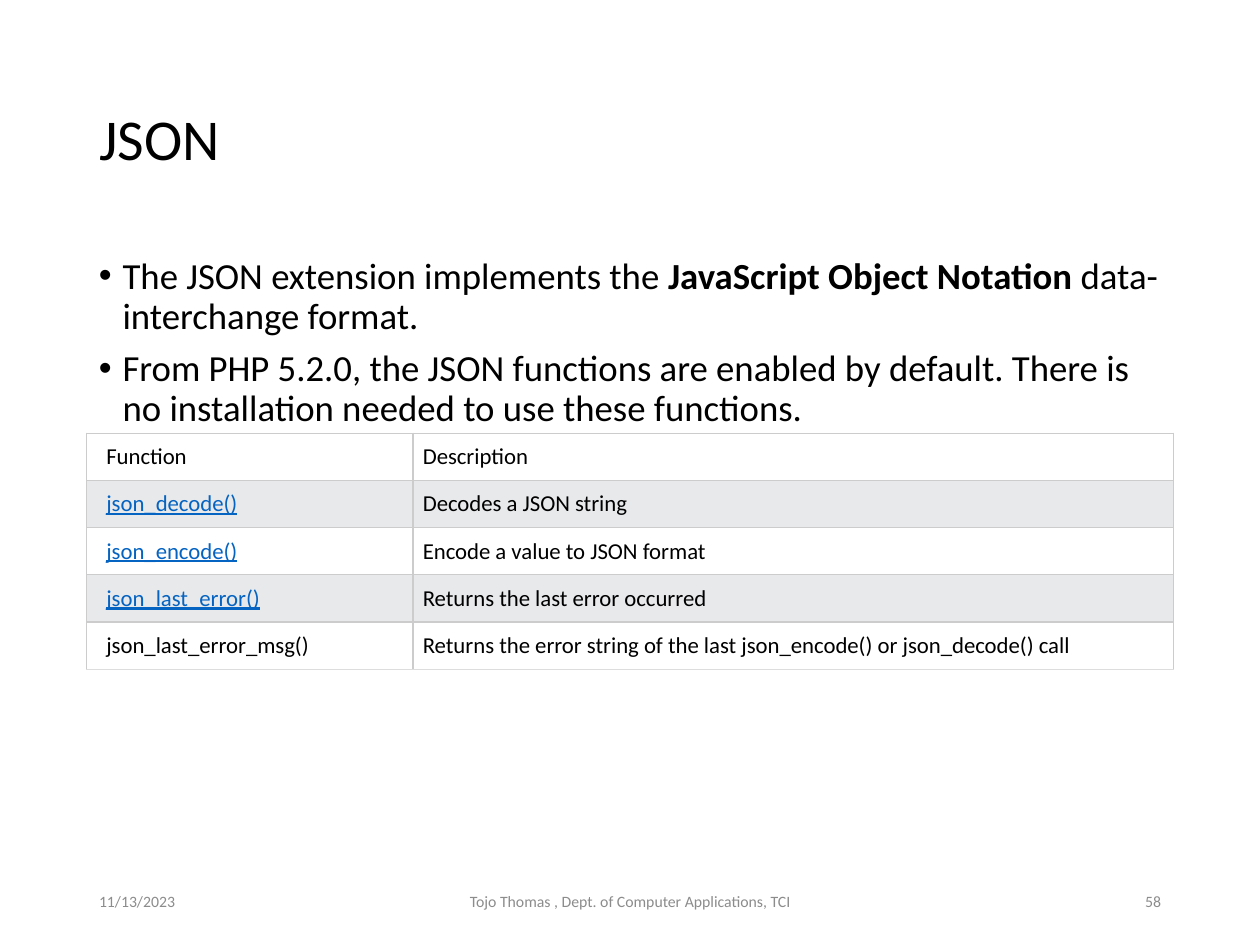
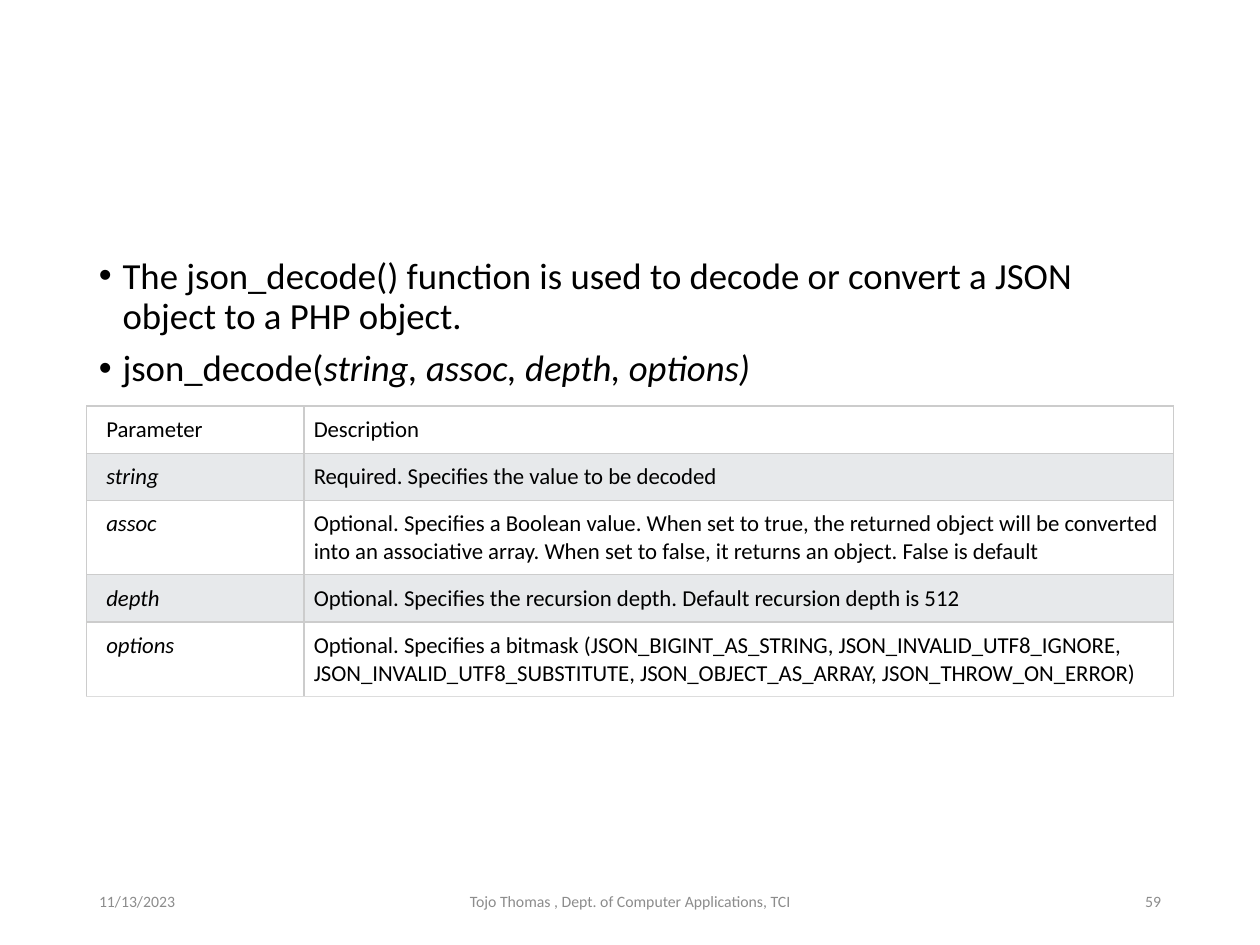
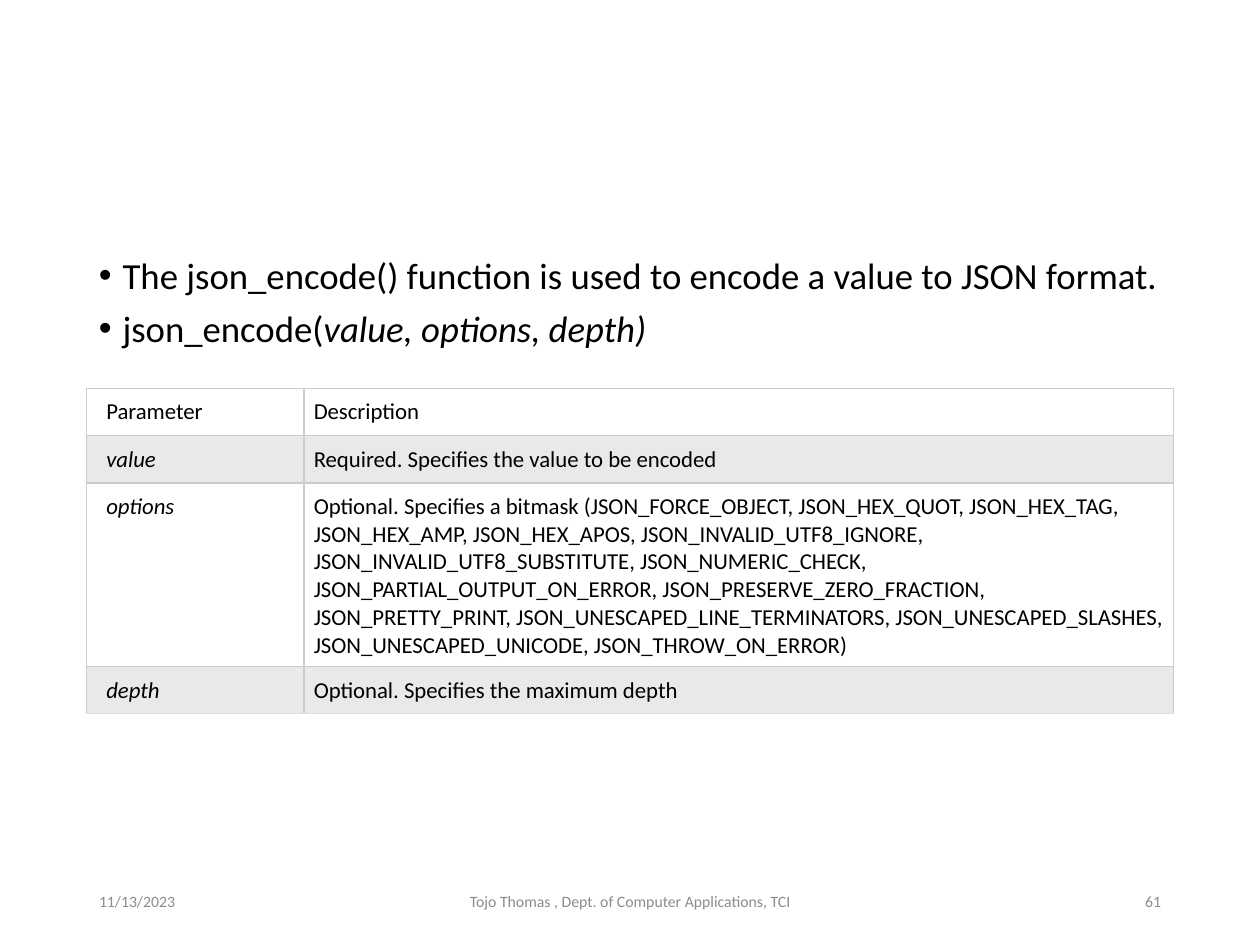
import pptx
import pptx.util
import pptx.dml.color
import pptx.enum.text
import pptx.oxml
import pptx.oxml.ns

Pt = pptx.util.Pt
ALIGN = pptx.enum.text.PP_ALIGN
ANCHOR = pptx.enum.text.MSO_ANCHOR

BLACK, GREY, LINK = "000000", "8C8C8C", "0563C1"
ROW_FILLS = ["FFFFFF", "E7E9EB"]
LEFT, WIDTH = 49.5, 621
FOOTER_TOP, FOOTER_HEIGHT = 500.5, 28.75
CELL_MARGIN = 5.63
BULLET = {"line_spacing": 0.9, "space_before": Pt(7.5)}
FOOTER = "Tojo Thomas , Dept. of Computer Applications, TCI"


def colour(hex_string):
    return pptx.dml.color.RGBColor.from_string(hex_string)


def add_span(para, text, size, hex_string, **styles):
    span = para.add_run()
    span.text = text
    formats = {"name": "Calibri", "size": Pt(size), **styles}
    for name, value in formats.items():
        setattr(span.font, name, value)
    span.font.color.rgb = colour(hex_string)


italic = {"italic": True}
link = {"underline": True}
pages = [
    {
        "title": "JSON",
        "number": "58",
        "bullets": [
            [("The JSON extension implements the ", {}),
             ("JavaScript Object Notation ", {"bold": True}),
             ("data-interchange format.", {})],
            [("From PHP 5.2.0, the JSON functions are enabled by default. "
              "There is no installation needed to use these functions.", {})],
        ],
        "table_top": 247.5,
        "first_column": 186.5,
        "row_heights": [27, 27, 27, 27, 27],
        "rows": [
            ("Function", {}, "Description"),
            ("json_decode()", link, "Decodes a JSON string"),
            ("json_encode()", link, "Encode a value to JSON format"),
            ("json_last_error()", link, "Returns the last error occurred"),
            ("json_last_error_msg()", {},
             "Returns the error string of the last json_encode() or json_decode() call"),
        ],
    },
    {
        "title": None,
        "number": "59",
        "bullets": [
            [("The json_decode() function is used to decode or convert a JSON "
              "object to a PHP object.", {})],
            [("json_decode(", {}), ("string, assoc, depth, options)", italic)],
        ],
        "table_top": 232,
        "first_column": 124.2,
        "row_heights": [27, 27, 42, 27, 42],
        "rows": [
            ("Parameter", {}, "Description"),
            ("string", italic, "Required. Specifies the value to be decoded"),
            ("assoc", italic,
             "Optional. Specifies a Boolean value. When set to true, the returned "
             "object will be converted into an associative array. When set to false, "
             "it returns an object. False is default"),
            ("depth", italic,
             "Optional. Specifies the recursion depth. Default recursion depth is 512"),
            ("options", italic,
             "Optional. Specifies a bitmask (JSON_BIGINT_AS_STRING, "
             "JSON_INVALID_UTF8_IGNORE, JSON_INVALID_UTF8_SUBSTITUTE, "
             "JSON_OBJECT_AS_ARRAY, JSON_THROW_ON_ERROR)"),
        ],
    },
    {
        "title": None,
        "number": "61",
        "bullets": [
            [("The json_encode() function is used to encode a value to JSON format.", {})],
            [("json_encode(", {}), ("value, options, depth)", italic)],
        ],
        "table_top": 222,
        "first_column": 124.2,
        "row_heights": [27, 27, 103, 27],
        "rows": [
            ("Parameter", {}, "Description"),
            ("value", italic, "Required. Specifies the value to be encoded"),
            ("options", italic,
             "Optional. Specifies a bitmask (JSON_FORCE_OBJECT, JSON_HEX_QUOT, "
             "JSON_HEX_TAG, JSON_HEX_AMP, JSON_HEX_APOS, JSON_INVALID_UTF8_IGNORE, "
             "JSON_INVALID_UTF8_SUBSTITUTE, JSON_NUMERIC_CHECK, "
             "JSON_PARTIAL_OUTPUT_ON_ERROR, JSON_PRESERVE_ZERO_FRACTION, "
             "JSON_PRETTY_PRINT, JSON_UNESCAPED_LINE_TERMINATORS, "
             "JSON_UNESCAPED_SLASHES, JSON_UNESCAPED_UNICODE, JSON_THROW_ON_ERROR)"),
            ("depth", italic, "Optional. Specifies the maximum depth"),
        ],
    },
]

deck = pptx.Presentation()
deck.slide_width, deck.slide_height = Pt(720), Pt(540)
title_only, blank = deck.slide_layouts[5], deck.slide_layouts[6]

for content in pages:
    page = deck.slides.add_slide(title_only if content["title"] else blank)

    if content["title"]:
        title = page.shapes.title
        place = {"left": LEFT, "top": 28.75, "width": WIDTH, "height": 104.4}
        for name, value in place.items():
            setattr(title, name, Pt(value))
        title.text_frame.vertical_anchor = ANCHOR.MIDDLE
        para = title.text_frame.paragraphs[0]
        para.alignment, para.line_spacing = ALIGN.LEFT, 0.9
        add_span(para, content["title"], 33, BLACK)

    body = page.shapes.add_textbox(Pt(LEFT), Pt(143.75), Pt(WIDTH), Pt(342.6))
    body.text_frame.word_wrap = True
    for index, spans in enumerate(content["bullets"]):
        para = body.text_frame.add_paragraph() if index else body.text_frame.paragraphs[0]
        for name, value in BULLET.items():
            setattr(para, name, value)
        properties = para._p.get_or_add_pPr()
        properties.set("marL", str(Pt(13.5)))
        properties.set("indent", str(-Pt(13.5)))
        for tag, key, value in [("a:buFont", "typeface", "Arial"), ("a:buChar", "char", "•")]:
            mark = pptx.oxml.ns.qn(tag)
            properties.append(properties.makeelement(mark, {key: value}))
        for text, styles in spans:
            add_span(para, text, 21, BLACK, **styles)

    footers = [
        ("11/13/2023", LEFT, 162, ALIGN.LEFT),
        (FOOTER, 238.5, 243, ALIGN.CENTER),
        (content["number"], 508.5, 162, ALIGN.RIGHT),
    ]
    for text, left, width, alignment in footers:
        box = page.shapes.add_textbox(Pt(left), Pt(FOOTER_TOP), Pt(width), Pt(FOOTER_HEIGHT))
        box.text_frame.word_wrap = True
        box.text_frame.vertical_anchor = ANCHOR.MIDDLE
        para = box.text_frame.paragraphs[0]
        para.alignment = alignment
        add_span(para, text, 9, GREY)

    rows, heights = content["rows"], content["row_heights"]
    frame = page.shapes.add_table(
        len(rows), 2, Pt(LEFT), Pt(content["table_top"]), Pt(WIDTH), Pt(sum(heights)))
    table = frame.table
    table.first_row = table.horz_banding = False
    table.columns[0].width = Pt(content["first_column"])
    table.columns[1].width = Pt(WIDTH - content["first_column"])
    for row_index, (term, styles, description) in enumerate(rows):
        table.rows[row_index].height = Pt(heights[row_index])
        bottom = "DDDDDD" if row_index == len(rows) - 1 else "CCCCCC"
        term_colour = LINK if styles is link else BLACK
        cells = [(term, term_colour, styles, 2), (description, BLACK, {}, 1)]
        for column, (text, text_colour, text_styles, indent) in enumerate(cells):
            cell = table.cell(row_index, column)
            margins = {"left": indent, "top": 1, "right": 1, "bottom": 1}
            for side, factor in margins.items():
                setattr(cell, "margin_" + side, Pt(CELL_MARGIN * factor))
            cell.fill.solid()
            cell.fill.fore_color.rgb = colour(ROW_FILLS[row_index % 2])
            add_span(cell.text_frame.paragraphs[0], text, 13, text_colour, **text_styles)
            edges = {"L": "CCCCCC", "R": "CCCCCC", "T": "CCCCCC", "B": bottom}
            for position, (side, edge) in enumerate(edges.items()):
                border = pptx.oxml.parse_xml(
                    f'<a:ln{side} {pptx.oxml.ns.nsdecls("a")} w="{Pt(0.75)}">'
                    f'<a:solidFill><a:srgbClr val="{edge}"/></a:solidFill></a:ln{side}>')
                cell._tc.get_or_add_tcPr().insert(position, border)

deck.save("out.pptx")
